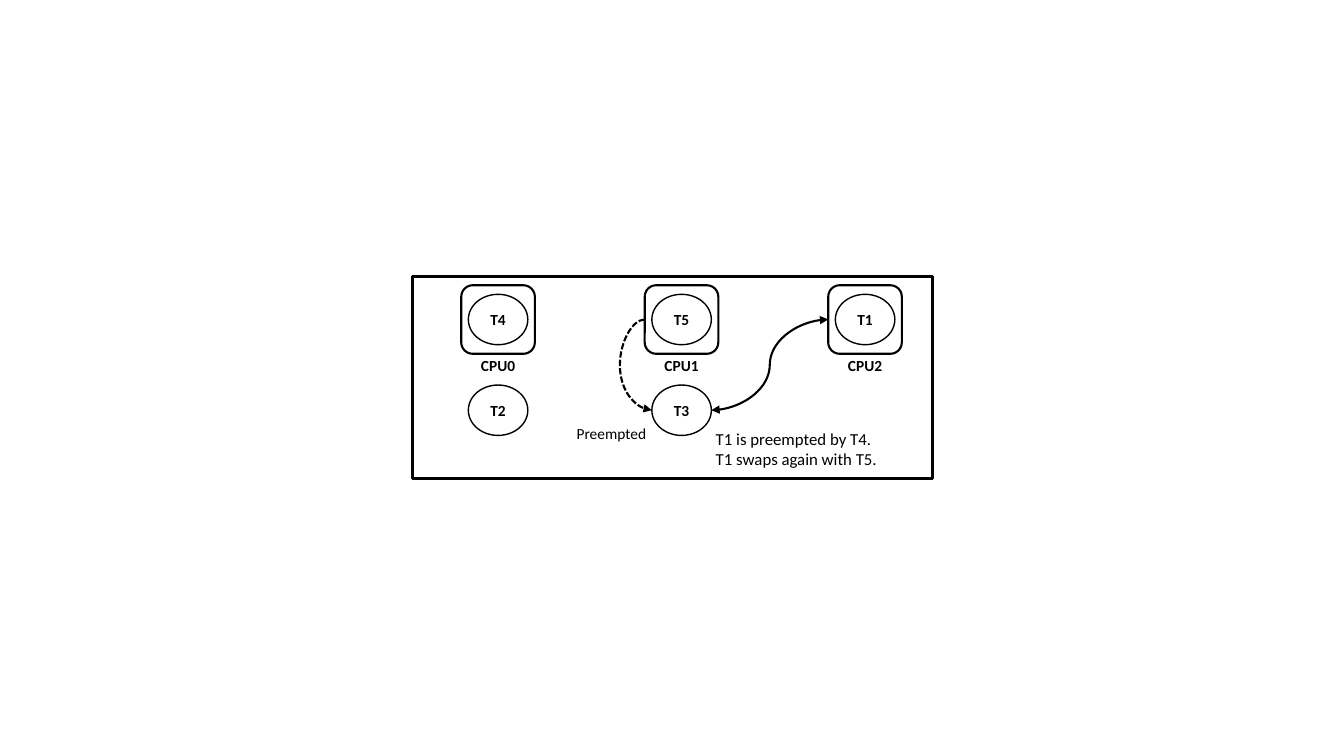
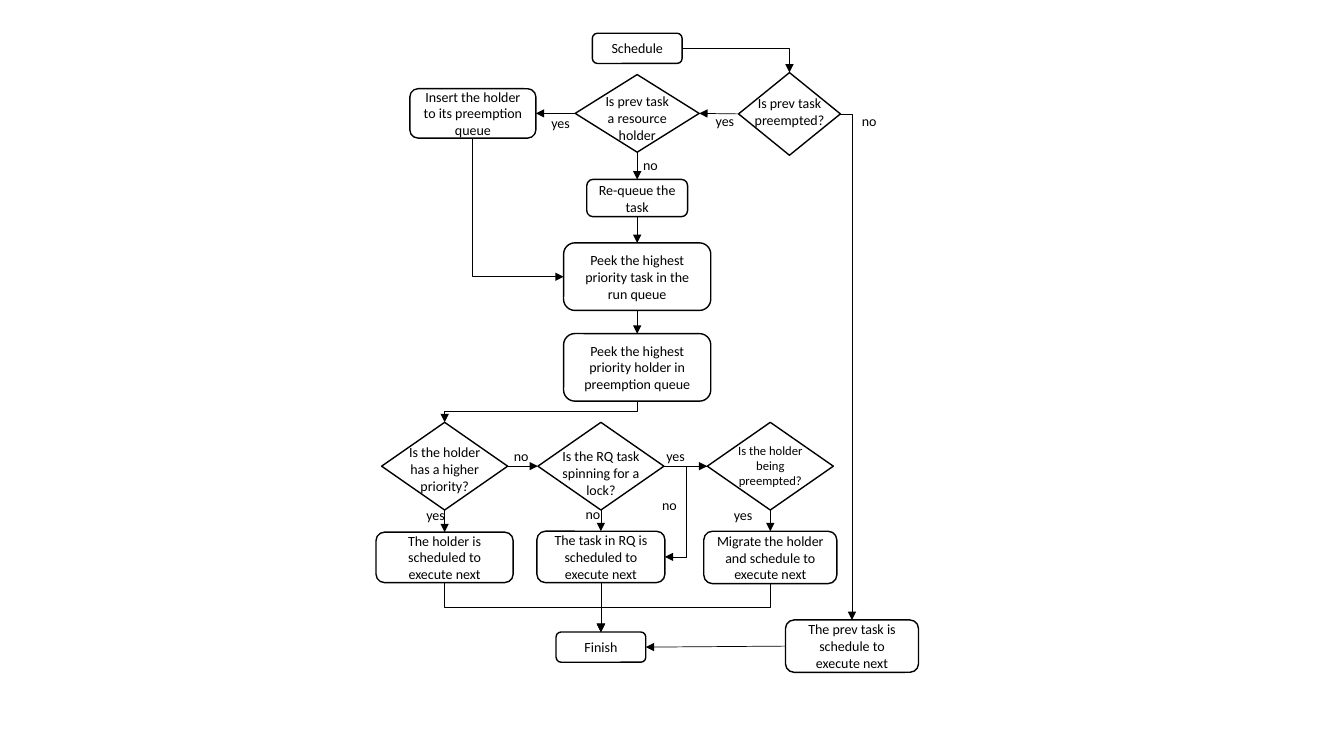
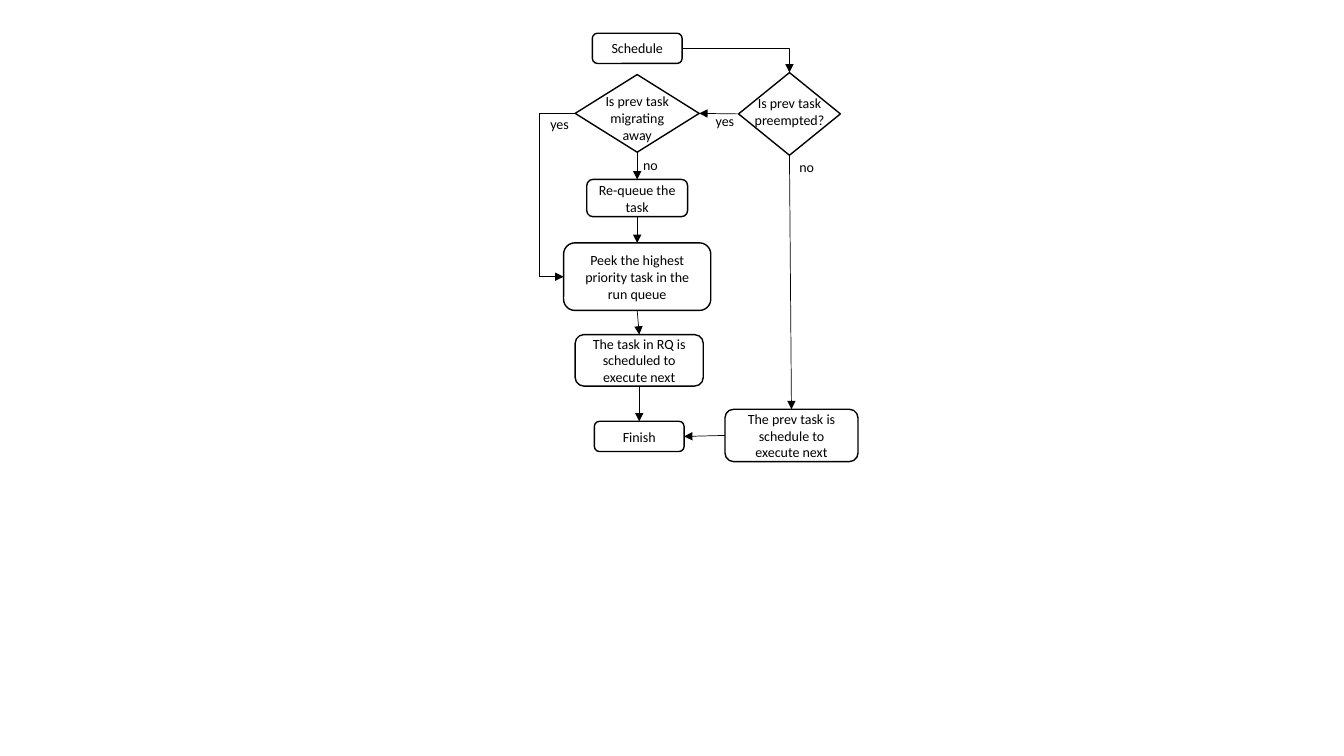
from lxml.etree import SubElement
from pptx import Presentation
from pptx.dml.color import RGBColor
from pptx.enum.dml import MSO_LINE
from pptx.enum.shapes import MSO_CONNECTOR, MSO_SHAPE
from pptx.enum.text import MSO_ANCHOR, PP_ALIGN
from pptx.oxml.ns import qn
from pptx.util import Emu, Inches, Pt

COLORS = {"ink": "000000", "paper": "FFFFFF"}
FONT = "Calibri"
SLIDE_COLS, SLIDE_ROWS = 13.33, 7.5

CPUS = [("CPU0", "T4", "T2"), ("CPU1", "T5", "T3"), ("CPU2", "T1", None)]
PANEL = (4.09, 2.74, 5.16, 2.01)
CPU_COL, CPU_STEP = 4.94, 1.82
CPU_ROW, RUNNING_ROW, NAME_ROW, WAITING_ROW = 2.83, 2.92, 3.48, 3.82
CPU_SIZE, TASK_SIZE, NAME_SIZE = (0.73, 0.68), (0.59, 0.5), (0.82, 0.29)
NOTES = [
    ("Preempted", (5.62, 4.16, 1.05, 0.29), 11),
    ("T1 is preempted by T4.\nT1 swaps again with T5.", (7, 4.2, 2.18, 0.5), 12),
]

COL = {"insert": 4.69, "main": 6.32, "prev": 7.83,
       "holder": 4.41, "rq": 5.96, "migrate": 7.64}
TERMINAL, PEEK, OUTCOME = (0.89, 0.3), (1.46, 0.67), (1.32, 0.52)
RQ_BOX, CHOICE, LABEL = (1.27, 0.51), (1.25, 0.87), (0.85, 0.27)
RQ_TEXT = "The task in RQ is scheduled to execute next"
PREV_TEXT = "The prev task is schedule to execute next"

START_BOXES = {
    "schedule": (COL["main"], 0.33, TERMINAL, "Schedule"),
    "requeue": (COL["main"], 1.78, (1, 0.37), "Re-queue the task"),
    "peek task": (COL["main"], 2.41, PEEK,
                  "Peek the highest priority task in the run queue"),
}
START_CHOICES = {
    "preempted": (COL["prev"], 0.72, (1.01, 0.82), "Is prev task preempted?", 0.89, 0.98, 10),
}
START_LINKS = [
    ("schedule", "right", "preempted", "top"),
    ("preempted", "left", "prev kind", "right"),
    ("prev kind", "bottom", "requeue", "top"),
    ("requeue", "bottom", "peek task", "top"),
]
START_LABELS = [("yes", 7.19, 1.07), ("no", 6.45, 1.5)]

HOLDER_FLOW = {
    "boxes": START_BOXES | {
        "insert": (COL["insert"], 0.88, (1.25, 0.49),
                   "Insert the holder to its preemption queue"),
        "peek holder": (COL["main"], 3.31, PEEK,
                        "Peek the highest priority holder in preemption queue"),
        "run holder": (COL["holder"], 5.28, (1.36, 0.5),
                       "The holder is scheduled to execute next"),
        "run rq": (COL["rq"], 5.27, RQ_BOX, RQ_TEXT),
        "migrate": (COL["migrate"], 5.27, OUTCOME,
                    "Migrate the holder and schedule to execute next"),
        "run prev": (8.45, 6.15, OUTCOME, PREV_TEXT),
        "finish": (COL["rq"], 6.27, TERMINAL, "Finish"),
    },
    "choices": START_CHOICES | {
        "prev kind": (COL["main"], 0.74, (1.23, 0.77),
                      "Is prev task a resource holder", 0.87, 0.91, 10),
        "higher": (COL["holder"], 4.19, CHOICE,
                   "Is the holder has a higher priority?", 4.35, 1.04, 10),
        "spinning": (COL["rq"], 4.19, CHOICE,
                     "Is the RQ task spinning for a lock?", 4.39, 1.04, 10),
        "holder preempted": (COL["migrate"], 4.19, CHOICE,
                             "Is the holder being preempted?", 4.34, 1.04, 9),
    },
    "links": START_LINKS + [
        ("prev kind", "left", "insert", "right"),
        ("insert", "bottom", "peek task", "left"),
        ("peek task", "bottom", "peek holder", "top"),
        ("peek holder", "bottom", "higher", "top"),
        ("higher", "right", "spinning", "left"),
        ("spinning", "right", "holder preempted", "left"),
        ("higher", "bottom", "run holder", "top"),
        ("spinning", "bottom", "run rq", "top"),
        ("holder preempted", "bottom", "migrate", "top"),
        ("holder preempted", "left", "run rq", "right"),
        ("run holder", "bottom", "finish", "top"),
        ("run rq", "bottom", "finish", "top"),
        ("migrate", "bottom", "finish", "top"),
        ("preempted", "right", "run prev", "top"),
        ("run prev", "left", "finish", "right"),
    ],
    "labels": START_LABELS + [
        ("yes", 5.56, 1.09), ("no", 8.62, 1.07), ("no", 5.17, 4.39),
        ("yes", 6.7, 4.39), ("yes", 4.32, 4.98), ("no", 5.88, 4.97),
        ("yes", 7.37, 4.98), ("no", 6.64, 4.88),
    ],
}
MIGRATION_FLOW = {
    "boxes": START_BOXES | {
        "run rq": (6.34, 3.32, RQ_BOX, RQ_TEXT),
        "run prev": (7.85, 4.06, OUTCOME, PREV_TEXT),
        "finish": (6.34, 4.18, TERMINAL, "Finish"),
    },
    "choices": START_CHOICES | {
        "prev kind": (COL["main"], 0.74, (1.23, 0.77),
                      "Is prev task migrating away", 0.87, 0.91, 10),
    },
    "links": START_LINKS + [
        ("prev kind", "left", "peek task", "left", 3.1),
        ("peek task", "bottom", "run rq", "top"),
        ("run rq", "bottom", "finish", "top"),
        ("preempted", "bottom", "run prev", "top"),
        ("run prev", "left", "finish", "right"),
    ],
    "labels": START_LABELS + [("yes", 5.55, 1.1), ("no", 8, 1.52)],
}

SIDES = {"top": (0.5, 0), "left": (0, 0.5), "bottom": (0.5, 1), "right": (1, 0.5)}
SITES = {
    MSO_SHAPE.OVAL: {"top": 0, "left": 2, "bottom": 4, "right": 6},
    None: {"top": 0, "left": 1, "bottom": 2, "right": 3},
}


def color(name):
    return RGBColor.from_string(COLORS[name])


def centred(col, row, size):
    return col - size[0] / 2, row, *size


def add_text(s, text, size=10, bold=False, align=PP_ALIGN.CENTER, anchor=MSO_ANCHOR.TOP):
    tf = s.text_frame
    tf.word_wrap = True
    tf.vertical_anchor = anchor
    for i, line in enumerate(text.split("\n")):
        p = tf.paragraphs[0] if i == 0 else tf.add_paragraph()
        p.alignment = align
        r = p.add_run()
        r.text = line
        r.font.name, r.font.size, r.font.bold = FONT, Pt(size), bold
        r.font.color.rgb = color("ink")


def add_label(slide, text, box, **fmt):
    add_text(slide.shapes.add_textbox(*map(Inches, box)), text, **fmt)


def add_node(slide, kind, box, text=None, width=1, **fmt):
    s = slide.shapes.add_shape(kind, *map(Inches, box))
    s.shadow.inherit = False
    s.fill.solid()
    s.fill.fore_color.rgb = color("paper")
    s.line.color.rgb = color("ink")
    s.line.width = Pt(width)
    if text:
        add_text(s, text, anchor=MSO_ANCHOR.MIDDLE, **fmt)
    return s


def side_point(s, side):
    fx, fy = SIDES[side]
    return s.left + s.width * fx, s.top + s.height * fy


def add_link(slide, a, side_a, b, side_b, bend=None, curved=False,
             width=0.5, dashed=False, both=False):
    (x1, y1), (x2, y2) = side_point(a, side_a), side_point(b, side_b)
    dx, dy = x2 - x1, y2 - y1
    down = side_a == "bottom"
    corner = down != (side_b in ("top", "bottom"))
    kind = MSO_CONNECTOR.CURVE if curved else MSO_CONNECTOR.ELBOW
    if not curved and min(abs(dx), abs(dy)) < Inches(0.04):
        kind = MSO_CONNECTOR.STRAIGHT
    turned = down and kind == MSO_CONNECTOR.ELBOW
    if turned:
        cx, cy = (x1 + x2) / 2, (y1 + y2) / 2
        x1, x2 = cx - dy / 2, cx + dy / 2
        y1, y2 = cy + dx / 2, cy - dx / 2
    c = slide.shapes.add_connector(kind, *(Emu(int(v)) for v in (x1, y1, x2, y2)))
    c.line.color.rgb = color("ink")
    c.line.width = Pt(width)
    if dashed:
        c.line.dash_style = MSO_LINE.SQUARE_DOT
    pr = c._element.spPr
    if turned:
        pr.find(qn("a:xfrm")).set("rot", "5400000")
    geom = pr.find(qn("a:prstGeom"))
    if kind == MSO_CONNECTOR.ELBOW and corner:
        geom.set("prst", "bentConnector2")
    if bend is not None:
        SubElement(geom.find(qn("a:avLst")), qn("a:gd"),
                   name="adj1", fmla=f"val {round(bend * 100000)}")
    for end in ("headEnd", "tailEnd") if both else ("tailEnd",):
        SubElement(c.line._get_or_add_ln(), qn(f"a:{end}"), type="triangle")
    SubElement(pr, qn("a:effectLst"))
    glue = c._element.find(".//" + qn("p:cNvCxnSpPr"))
    for tag, s, side in (("stCxn", a, side_a), ("endCxn", b, side_b)):
        sites = SITES.get(s.auto_shape_type, SITES[None])
        SubElement(glue, qn(f"a:{tag}"), id=str(s.shape_id), idx=str(sites[side]))


def draw_cpus(slide):
    add_node(slide, MSO_SHAPE.RECTANGLE, PANEL, width=2.25)
    cpus, waiting_tasks = {}, {}
    for i, (name, running, waiting) in enumerate(CPUS):
        col = CPU_COL + i * CPU_STEP
        cpus[name] = add_node(slide, MSO_SHAPE.ROUNDED_RECTANGLE,
                              centred(col, CPU_ROW, CPU_SIZE), width=1.5)
        add_label(slide, name, centred(col, NAME_ROW, NAME_SIZE), size=11, bold=True)
        for task, row in ((running, RUNNING_ROW), (waiting, WAITING_ROW)):
            if task:
                waiting_tasks[task] = add_node(
                    slide, MSO_SHAPE.OVAL, centred(col, row, TASK_SIZE), task,
                    size=11, bold=True)
    t3 = waiting_tasks["T3"]
    add_link(slide, t3, "right", cpus["CPU2"], "left", curved=True, width=1.5, both=True)
    add_link(slide, cpus["CPU1"], "left", t3, "left", bend=-3.52, curved=True,
             width=1.5, dashed=True)
    for text, box, size in NOTES:
        add_label(slide, text, box, size=size, align=PP_ALIGN.LEFT)


def draw_flow(slide, flow):
    nodes = {}
    for name, (col, row, size, text) in flow["boxes"].items():
        nodes[name] = add_node(slide, MSO_SHAPE.ROUNDED_RECTANGLE,
                               centred(col, row, size), text)
    for name, (col, row, size, text, text_row, text_width, pts) in flow["choices"].items():
        nodes[name] = add_node(slide, MSO_SHAPE.DIAMOND, centred(col, row, size))
        add_label(slide, text, centred(col, text_row, (text_width, 0.61)), size=pts)
    for a, side_a, b, side_b, *bend in flow["links"]:
        add_link(slide, nodes[a], side_a, nodes[b], side_b, *bend)
    for text, col, row in flow["labels"]:
        add_label(slide, text, centred(col, row, LABEL))


prs = Presentation()
prs.slide_width, prs.slide_height = Inches(SLIDE_COLS), Inches(SLIDE_ROWS)
blank = prs.slide_layouts[6]
draw_cpus(prs.slides.add_slide(blank))
for flow in (HOLDER_FLOW, MIGRATION_FLOW):
    draw_flow(prs.slides.add_slide(blank), flow)
prs.save("out.pptx")
